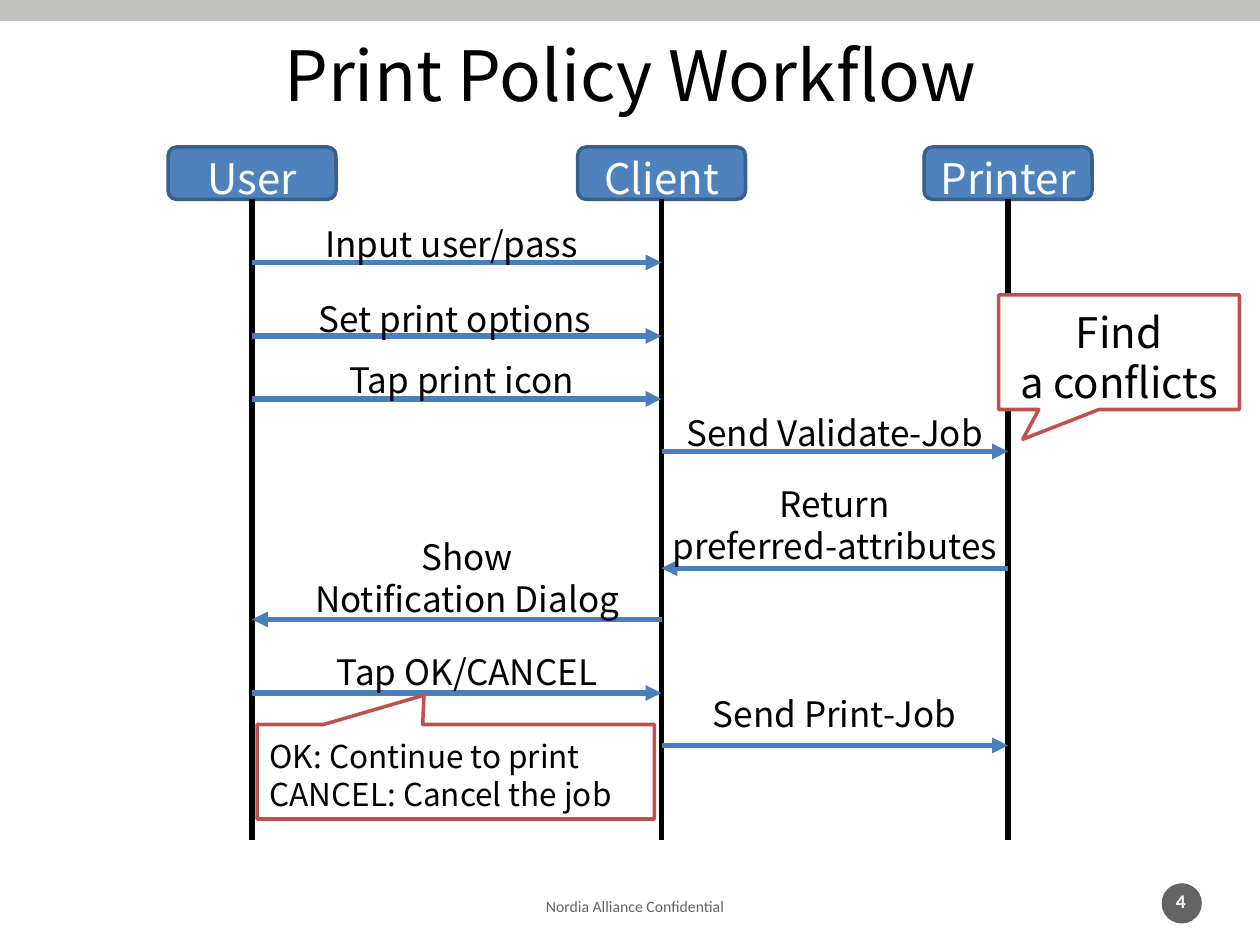
from dataclasses import dataclass
from lxml.etree import SubElement
from pptx import Presentation
from pptx.dml.color import RGBColor
from pptx.enum.shapes import MSO_CONNECTOR, MSO_SHAPE
from pptx.enum.text import MSO_ANCHOR, MSO_AUTO_SIZE, PP_ALIGN
from pptx.oxml.ns import qn
from pptx.util import Pt


@dataclass(frozen=True)
class Theme:
    face: str = "Noto Sans CJK JP"
    small: str = "Calibri"
    black: str = "000000"
    white: str = "FFFFFF"
    blue: str = "4F81BD"
    edge: str = "3A5F8C"
    arrow: str = "4B7EBC"
    red: str = "C0504D"
    band: str = "C0C1BF"
    gray: str = "636463"
    title: float = 39.6
    head: float = 24
    label: float = 20
    note: float = 18
    page: float = 11
    foot: float = 9
    lead: float = 1.2
    drop: float = 0.1


class Chart:
    def __init__(self, slide, theme):
        self.slide = slide
        self.theme = theme

    def fill_text(self, shape, text, size, color, align=PP_ALIGN.CENTER,
                  face=None, bold=False, anchor=MSO_ANCHOR.MIDDLE):
        frame = shape.text_frame
        frame.text = text
        frame.word_wrap = True
        frame.vertical_anchor = anchor
        if face is None:
            shift = size * self.theme.drop
            frame.margin_top = Pt(3.6 + shift)
            frame.margin_bottom = Pt(3.6 - shift)
        for para in frame.paragraphs:
            para.alignment = align
            para.font.name = face or self.theme.face
            para.font.size = Pt(size)
            para.font.bold = bold
            para.font.color.rgb = RGBColor.from_string(color)
            if face is None:
                para.line_spacing = Pt(size * self.theme.lead)

    def title(self, text, box):
        shape = self.slide.shapes.title
        shape.left, shape.top, shape.width, shape.height = map(Pt, box)
        self.fill_text(shape, text, self.theme.title, self.theme.black)
        shape.text_frame.auto_size = MSO_AUTO_SIZE.NONE

    def shape(self, kind, box, fill, edge=None):
        shape = self.slide.shapes.add_shape(kind, *map(Pt, box))
        shape.shadow.inherit = False
        shape.fill.solid()
        shape.fill.fore_color.rgb = RGBColor.from_string(fill)
        if edge:
            shape.line.color.rgb = RGBColor.from_string(edge)
            shape.line.width = Pt(2)
        else:
            shape.line.fill.background()
        return shape

    def head(self, text, mid):
        box = (mid - 48, 84, 96, 30)
        shape = self.shape(MSO_SHAPE.ROUNDED_RECTANGLE, box,
                           self.theme.blue, self.theme.edge)
        self.fill_text(shape, text, self.theme.head, self.theme.white)
        return shape

    def line(self, start, end, color, head=None, tip=False):
        line = self.slide.shapes.add_connector(
            MSO_CONNECTOR.STRAIGHT, *map(Pt, start + end))
        line.line.color.rgb = RGBColor.from_string(color)
        line.line.width = Pt(3)
        if head is not None:
            line.begin_connect(head, 2)
        props = line.element.spPr
        if tip:
            SubElement(props.find(qn("a:ln")), qn("a:tailEnd"), type="triangle")
        SubElement(props, qn("a:effectLst"))

    def text(self, text, box, size, color, **style):
        shape = self.slide.shapes.add_textbox(*map(Pt, box))
        self.fill_text(shape, text, size, color, anchor=MSO_ANCHOR.TOP, **style)

    def label(self, text, left, top, width):
        high = 8 + 24 * len(text.split("\n"))
        self.text(text, (left, top, width, high),
                  self.theme.label, self.theme.black)

    def callout(self, text, box, tail, size, align):
        shape = self.shape(MSO_SHAPE.RECTANGULAR_CALLOUT, box,
                           self.theme.white, self.theme.red)
        for index, value in enumerate(tail):
            shape.adjustments[index] = value
        self.fill_text(shape, text, size, self.theme.black, align)


def main():
    theme = Theme()
    deck = Presentation()
    deck.slide_width, deck.slide_height = Pt(720), Pt(540)
    chart = Chart(deck.slides.add_slide(deck.slide_layouts[5]), theme)

    chart.shape(MSO_SHAPE.RECTANGLE, (0, 0, 720, 12), theme.band)
    chart.shape(MSO_SHAPE.OVAL, (663.8, 504.7, 23, 23), theme.gray)
    chart.text("Nordia Alliance Confidential", (113.8, 509, 498, 18.7),
               theme.foot, theme.gray, face=theme.small)
    chart.text("4", (653.8, 504.7, 41.8, 18.7), theme.page, theme.white,
               face=theme.small, bold=True)
    chart.title("Print Policy Workflow", (36, 15.8, 648, 44.6))

    lanes = {"User": 144, "Client": 378, "Printer": 576}
    for name, mid in lanes.items():
        head = chart.head(name, mid)
        chart.line((mid, 114), (mid, 480), theme.black, head)

    steps = [
        ("User", "Client", 150, "Input user/pass", 156, 121.7, 204),
        ("User", "Client", 192, "Set print options", 152, 164.2, 216),
        ("User", "Client", 228, "Tap print icon", 174, 199.4, 180),
        ("Client", "Printer", 258, "Send Validate-Job", 380, 229.7, 194),
        ("Printer", "Client", 324.7, "Return\npreferred-attributes",
         372, 270, 210),
        ("Client", "User", 354, "Show\nNotification Dialog", 168, 300.2, 198),
        ("User", "Client", 396, "Tap OK/CANCEL", 180, 365.8, 174),
        ("Client", "Printer", 426, "Send Print-Job", 390, 390, 174),
    ]
    for start, end, level, *_ in steps:
        chart.line((lanes[start], level), (lanes[end], level),
                   theme.arrow, tip=True)
    for _, _, _, *label in steps:
        chart.label(*label)

    chart.callout("Find\na conflicts", (570.7, 168.5, 137.5, 65.5),
                  (-0.4, 0.76), theme.head, PP_ALIGN.CENTER)
    chart.callout("OK: Continue to print\nCANCEL: Cancel the job",
                  (147, 414, 227, 54), (-0.08, -0.81),
                  theme.note, PP_ALIGN.LEFT)
    deck.save("out.pptx")


if __name__ == "__main__":
    main()
